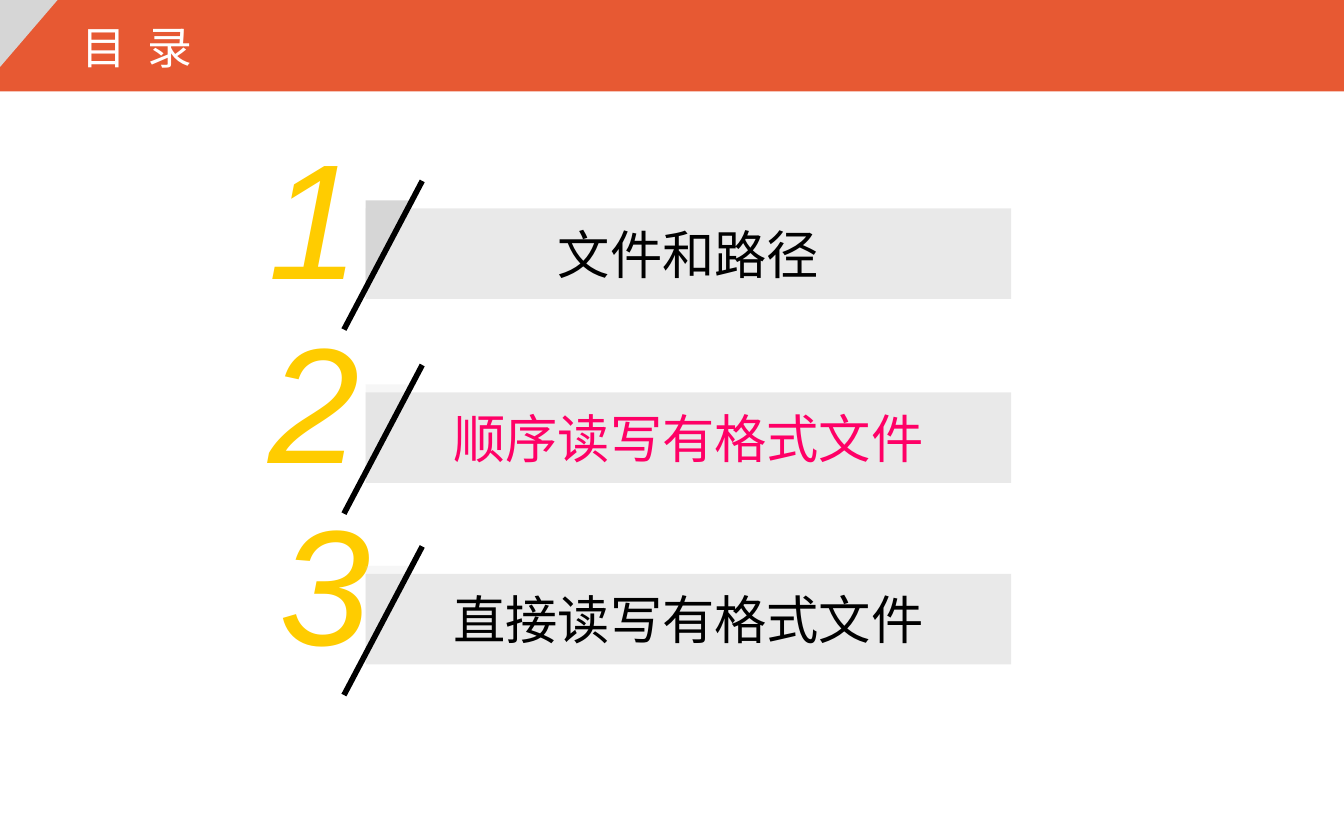
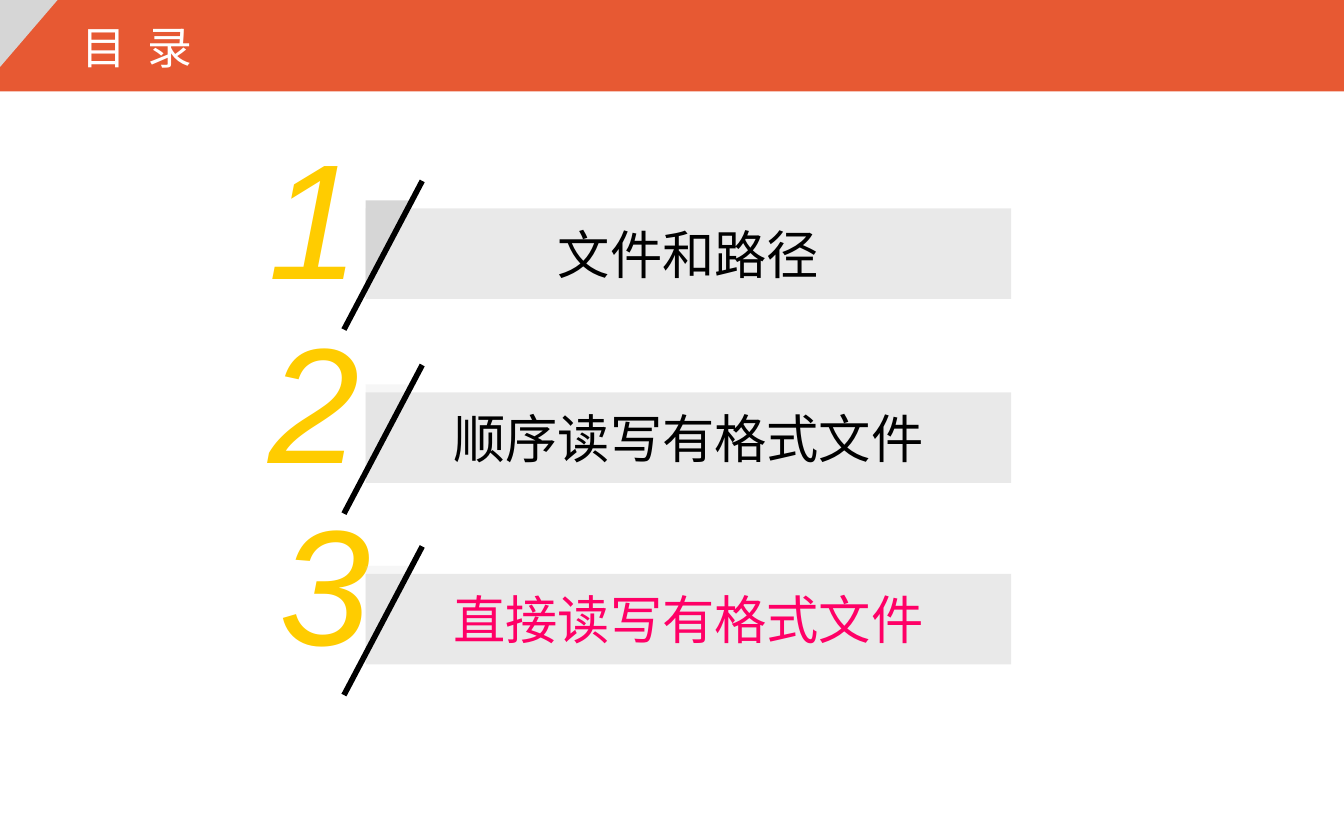
from dataclasses import dataclass

from pptx import Presentation
from pptx.dml.color import RGBColor
from pptx.enum.shapes import MSO_CONNECTOR, MSO_SHAPE
from pptx.enum.text import MSO_ANCHOR, MSO_AUTO_SIZE, PP_ALIGN
from pptx.oxml import parse_xml
from pptx.oxml.ns import nsdecls, qn
from pptx.shapes.autoshape import Shape
from pptx.shapes.shapetree import GroupShapes, SlideShapes
from pptx.slide import Slide
from pptx.util import Cm, Pt

RECT = MSO_SHAPE.RECTANGLE
WEDGE = MSO_SHAPE.RIGHT_TRIANGLE
STRAIGHT = MSO_CONNECTOR.STRAIGHT
LEFT, CENTER = PP_ALIGN.LEFT, PP_ALIGN.CENTER
TOP, MIDDLE = MSO_ANCHOR.TOP, MSO_ANCHOR.MIDDLE
GROW, FIXED = MSO_AUTO_SIZE.SHAPE_TO_FIT_TEXT, MSO_AUTO_SIZE.NONE

WIDE, HIGH = 25.4, 15.88
ORANGE, SILVER, GRAY = "E75933", "D6D6D6", "949494"
GOLD, PINK, BLACK, WHITE = "FFCC00", "FF0066", "000000", "FFFFFF"
SANS, MONO = "Arial", "Noto Sans Mono"
BAR_LEFT = 6.91

Tree = SlideShapes | GroupShapes


@dataclass(frozen=True)
class Topic:
    label: str
    top: float
    digit_left: float = 4.83
    font: str = MONO
    alpha: int = 20


TOPICS = [
    Topic("文件和路径", 3.94, alpha=100),
    Topic("顺序读写有格式文件", 7.42),
    Topic("直接读写有格式文件", 10.85, digit_left=5.03, font=SANS),
]


def rgb(code: str) -> RGBColor:
    return RGBColor.from_string(code)


def add_block(tree: Tree, kind: MSO_SHAPE, box: tuple[float, ...],
              fill: str, alpha: int = 100) -> Shape:
    """Add a borderless shape; box is in cm, alpha is percent opaque."""
    block = tree.add_shape(kind, *map(Cm, box))
    block.shadow.inherit = False
    block.line.fill.background()
    block.fill.solid()
    block.fill.fore_color.rgb = rgb(fill)
    if alpha < 100:
        tint = block.element.spPr.find(qn("a:solidFill"))[0]
        tint.append(parse_xml(f'<a:alpha {nsdecls("a")} val="{alpha * 1000}"/>'))
    return block


def add_wedge(tree: Tree, box: tuple[float, ...], alpha: int = 100) -> None:
    """Add a right triangle with its square corner at top left."""
    wedge = add_block(tree, WEDGE, box, SILVER, alpha)
    wedge.element.spPr.find(qn("a:xfrm")).set("flipV", "1")


def add_slash(tree: Tree, ends: tuple[float, ...]) -> None:
    slash = tree.add_connector(STRAIGHT, *map(Cm, ends))
    slash.line.color.rgb = rgb(BLACK)
    slash.line.width = Pt(3)
    slash.element.spPr.append(parse_xml(f'<a:effectLst {nsdecls("a")}/>'))


def put_text(shape: Shape, words: str, *, size: int, color: str,
             font: str = MONO, italic: bool = False, align: PP_ALIGN = LEFT,
             anchor: MSO_ANCHOR = TOP, wrap: bool = True,
             fit: MSO_AUTO_SIZE = GROW, track: int = 0) -> None:
    """Fill a shape with one run; track is letter spacing in points."""
    frame = shape.text_frame
    frame.word_wrap = wrap
    frame.auto_size = fit
    frame.vertical_anchor = anchor
    line = frame.paragraphs[0]
    line.alignment = align
    run = line.add_run()
    run.text = words
    run.font.name = font
    run.font.size = Pt(size)
    run.font.italic = italic
    run.font.color.rgb = rgb(color)
    if track:
        run.font._element.set("spc", str(track * 100))


def add_topic(slide: Slide, number: int, topic: Topic, active: bool) -> None:
    tree = slide.shapes.add_group_shape().shapes
    top = topic.top
    digit = tree.add_textbox(Cm(topic.digit_left), Cm(top - 1.88), Cm(2.24), Cm(3.99))
    put_text(digit, str(number), size=88, color=GOLD, font=SANS,
             italic=True, wrap=False)
    bar = add_block(tree, RECT, (BAR_LEFT, top, 12.2, 1.71), GRAY, 20)
    put_text(bar, topic.label, size=28, color=PINK if active else BLACK,
             font=topic.font, align=CENTER, anchor=MIDDLE, fit=FIXED)
    add_wedge(tree, (BAR_LEFT, top - 0.15, 0.94, 1.68), topic.alpha)
    add_slash(tree, (7.98, top - 0.52, 6.5, top + 2.29))


def add_agenda(slide: Slide, current: int) -> None:
    """Draw the contents slide with the current topic highlighted."""
    add_block(slide.shapes, RECT, (0, 0, WIDE, 1.73), ORANGE)
    add_wedge(slide.shapes, (0, 0, 1.09, 1.27))
    for number, topic in enumerate(TOPICS, 1):
        add_topic(slide, number, topic, number == current)
    title = slide.shapes.add_textbox(Cm(1.3), Cm(0.25), Cm(8.61), Cm(1.27))
    put_text(title, "目 录", size=24, color=WHITE, track=3)


def main() -> None:
    deck = Presentation()
    deck.slide_width, deck.slide_height = Cm(WIDE), Cm(HIGH)
    blank = deck.slide_layouts[6]
    for current in (2, 3):
        add_agenda(deck.slides.add_slide(blank), current)
    deck.save("out.pptx")


if __name__ == "__main__":
    main()
